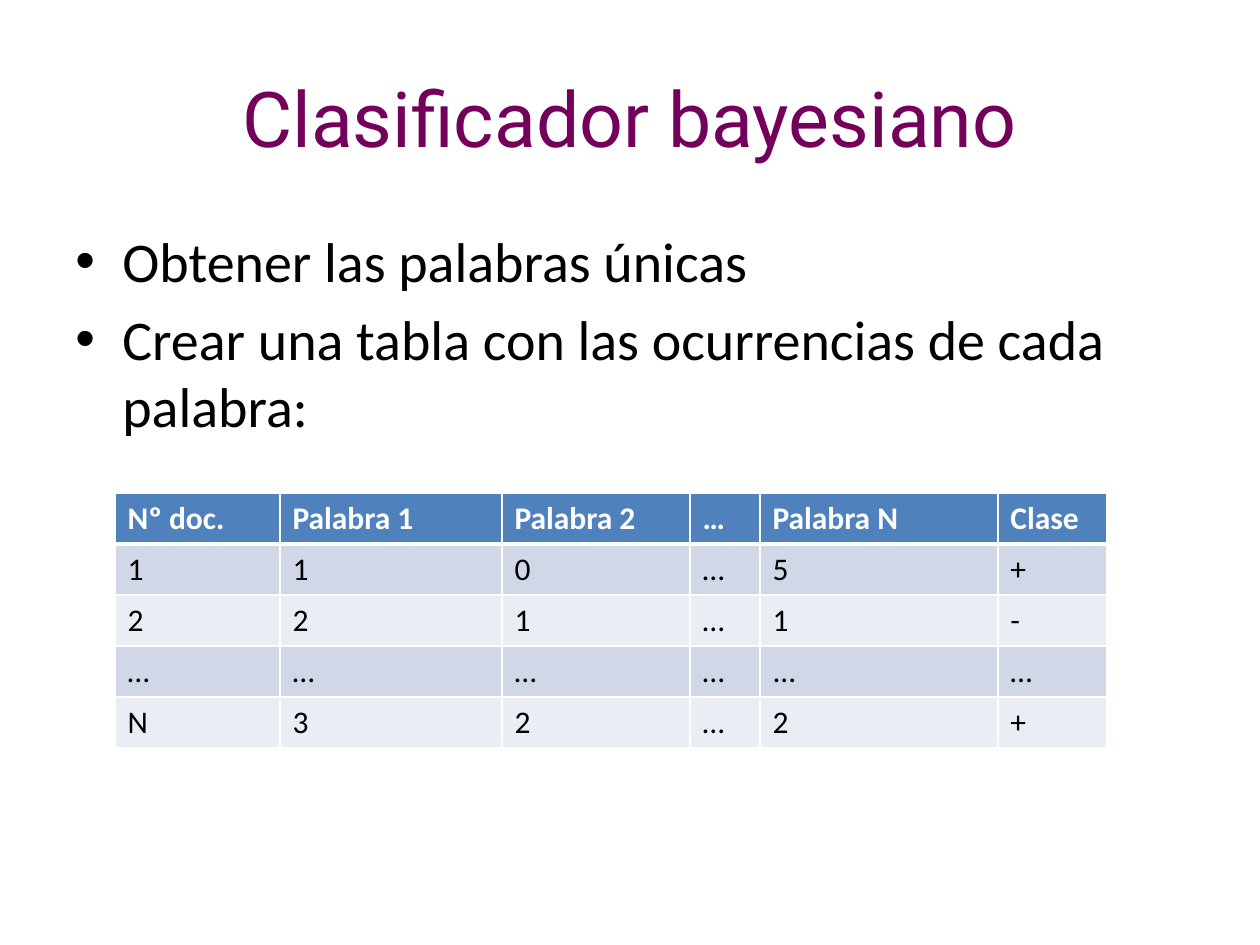
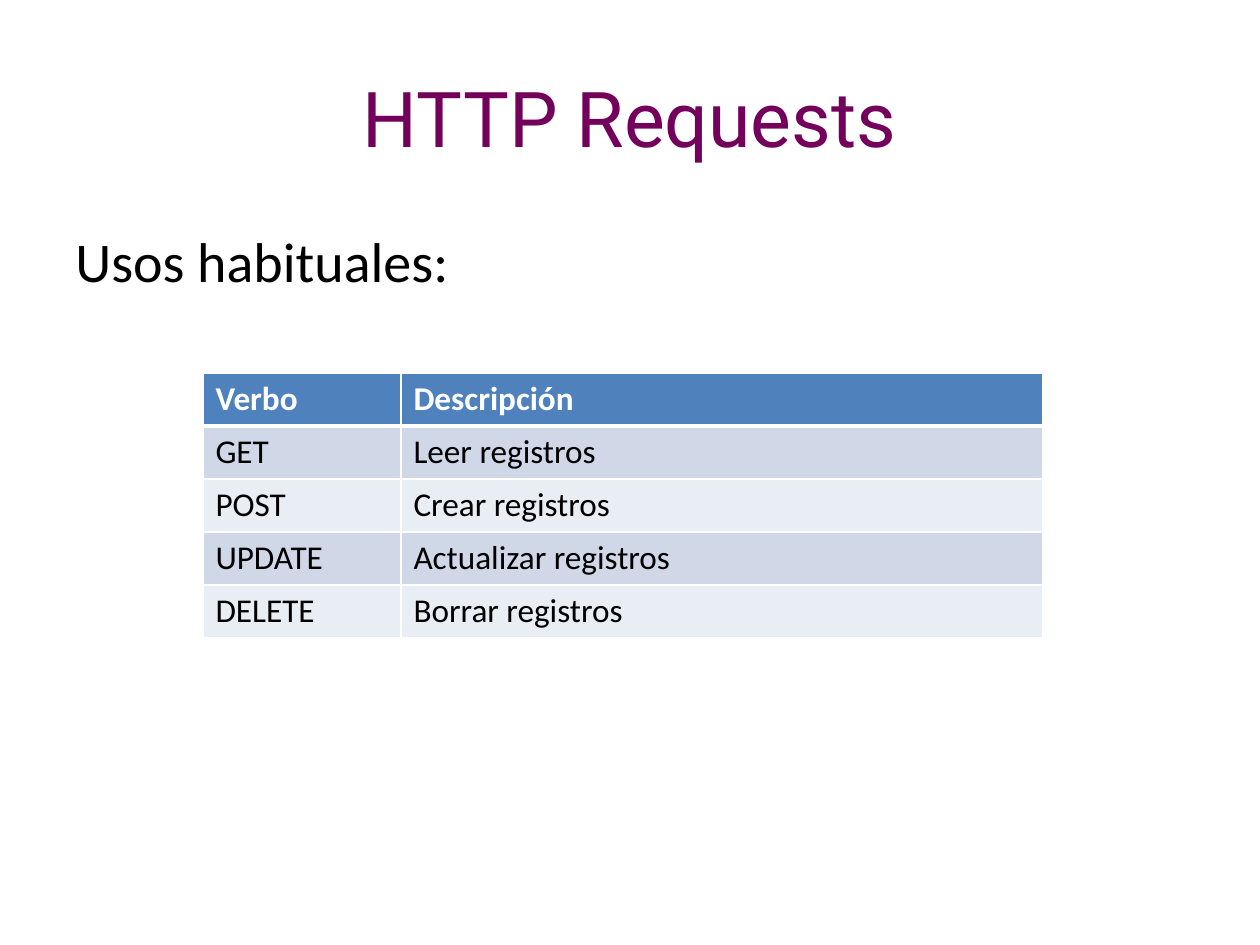
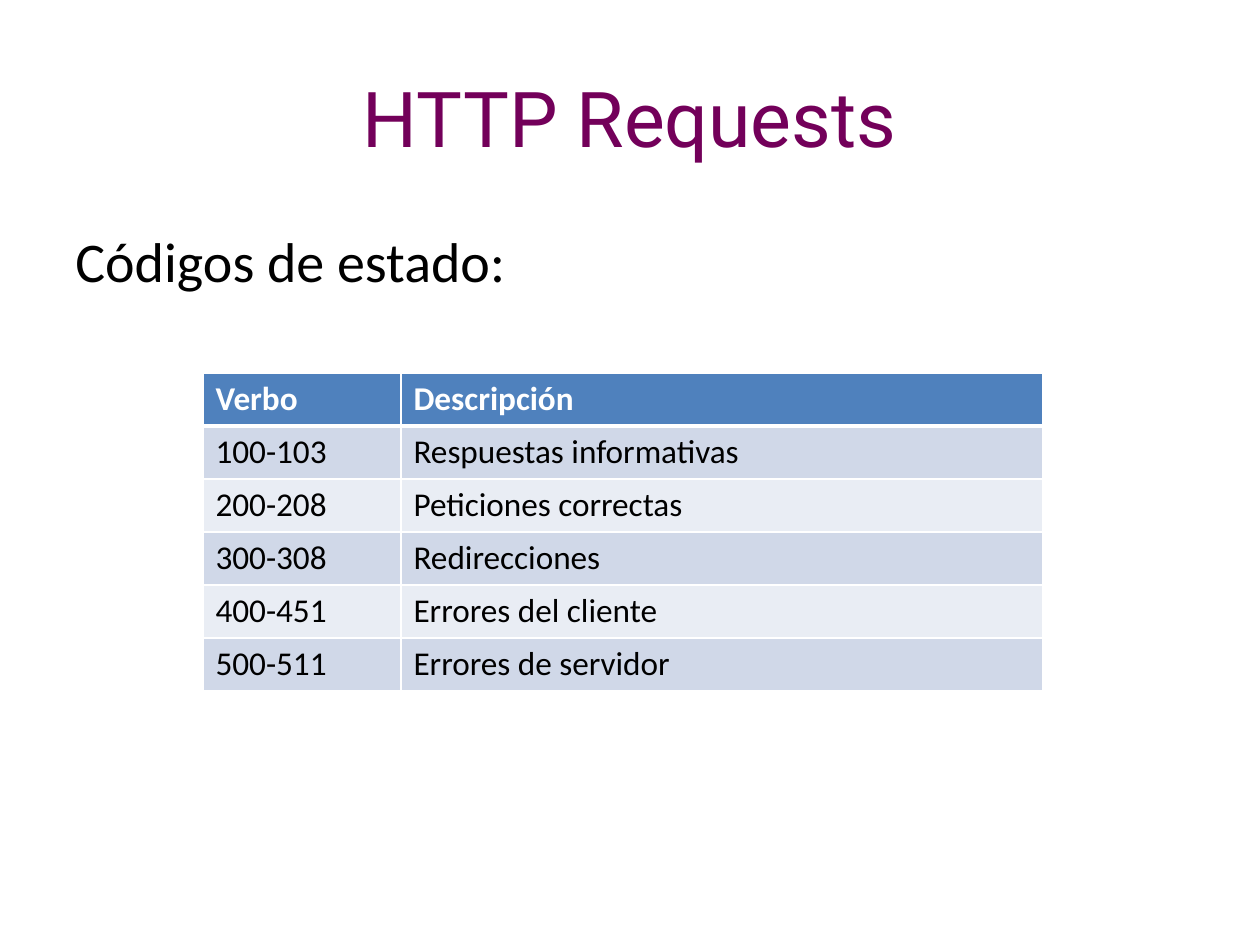
from lxml import etree
from pptx import Presentation
from pptx import util as u
from pptx.dml.color import RGBColor
from pptx.enum import text as t
from pptx.oxml.ns import qn

PX = 914400 // 126  # EMU in one px
INK = {
    "title": "73005A", "body": "000000", "white": "FFFFFF",
    "head": "4F81BD", "odd": "D0D8E8", "even": "E9EDF4",
}
HANG = 47  # bullet indent, px
LEFT, WIDE = 63, 1134  # shared by title and body

PAGES = [
    {
        "title": "Clasificador bayesiano",
        "bullet": True,
        "lines": ["Obtener las palabras únicas",
                  "Crear una tabla con las ocurrencias de cada palabra:"],
        "at": (115, 493), "cols": [165, 222, 188, 70, 238, 109],
        "high": 51, "size": 18,
        "rows": [["Nº doc.", "Palabra 1", "Palabra 2", "…", "Palabra N", "Clase"],
                 ["1", "1", "0", "…", "5", "+"],
                 ["2", "2", "1", "…", "1", "-"],
                 ["…", "…", "…", "…", "...", "…"],
                 ["N", "3", "2", "…", "2", "+"]],
    },
    {
        "title": "HTTP Requests",
        "bullet": False,
        "lines": ["Usos habituales:"],
        "at": (203, 373), "cols": [198, 642],
        "high": 53, "size": 19,
        "rows": [["Verbo", "Descripción"],
                 ["GET", "Leer registros"],
                 ["POST", "Crear registros"],
                 ["UPDATE", "Actualizar registros"],
                 ["DELETE", "Borrar registros"]],
    },
    {
        "title": "HTTP Requests",
        "bullet": False,
        "lines": ["Códigos de estado:"],
        "at": (203, 373), "cols": [198, 642],
        "high": 53, "size": 19,
        "rows": [["Verbo", "Descripción"],
                 ["100-103", "Respuestas informativas"],
                 ["200-208", "Peticiones correctas"],
                 ["300-308", "Redirecciones"],
                 ["400-451", "Errores del cliente"],
                 ["500-511", "Errores de servidor"]],
    },
]


def write(par, words, size, ink, face="Calibri", bold=False):
    run = par.add_run()
    run.text = words
    run.font.size, run.font.name, run.font.bold = u.Pt(size), face, bold
    run.font.color.rgb = RGBColor.from_string(INK[ink])


def edge(cell, side, width):
    line = etree.SubElement(cell._tc.get_or_add_tcPr(), qn("a:ln" + side),
                            w=str(u.Pt(width)))
    fill = etree.SubElement(line, qn("a:solidFill"))
    etree.SubElement(fill, qn("a:srgbClr"), val=INK["white"])


deck = Presentation()
deck.slide_width, deck.slide_height = 1260 * PX, 945 * PX

for page in PAGES:
    slide = deck.slides.add_slide(deck.slide_layouts[6])

    # Title
    box = slide.shapes.add_textbox(LEFT * PX, 38 * PX, WIDE * PX, 157 * PX)
    frame = box.text_frame
    frame.word_wrap = True
    frame.vertical_anchor = t.MSO_ANCHOR.MIDDLE
    par = frame.paragraphs[0]
    par.alignment = t.PP_ALIGN.CENTER
    write(par, page["title"], 44, "title", "Roboto")

    # Body text
    box = slide.shapes.add_textbox(LEFT * PX, 220 * PX, WIDE * PX, 624 * PX)
    frame = box.text_frame
    frame.word_wrap = True
    for i, words in enumerate(page["lines"]):
        par = frame.add_paragraph() if i else frame.paragraphs[0]
        if page["bullet"]:
            props = par._p.get_or_add_pPr()
            props.set("marL", str(HANG * PX))
            props.set("indent", str(-HANG * PX))
            etree.SubElement(props, qn("a:buFont"), typeface="Arial")
            etree.SubElement(props, qn("a:buChar"), char="•")
        if i:
            par.space_before = u.Pt(6.4)
        write(par, words, 32, "body")

    # Table
    rows, cols, high = page["rows"], page["cols"], page["high"]
    x, y = page["at"]
    grid = slide.shapes.add_table(len(rows), len(cols), x * PX, y * PX,
                                  sum(cols) * PX, len(rows) * high * PX).table
    for col, wide in zip(grid.columns, cols):
        col.width = wide * PX
    for r, row in enumerate(rows):
        grid.rows[r].height = high * PX
        band = "head" if r == 0 else "odd" if r % 2 else "even"
        for c, words in enumerate(row):
            cell = grid.cell(r, c)
            edge(cell, "L", 1)
            edge(cell, "R", 1)
            edge(cell, "T", 3 if r == 1 else 1)
            edge(cell, "B", 3 if r == 0 else 1)
            cell.fill.solid()
            cell.fill.fore_color.rgb = RGBColor.from_string(INK[band])
            write(cell.text_frame.paragraphs[0], words, page["size"],
                  "body" if r else "white", bold=r == 0)

deck.save("out.pptx")
